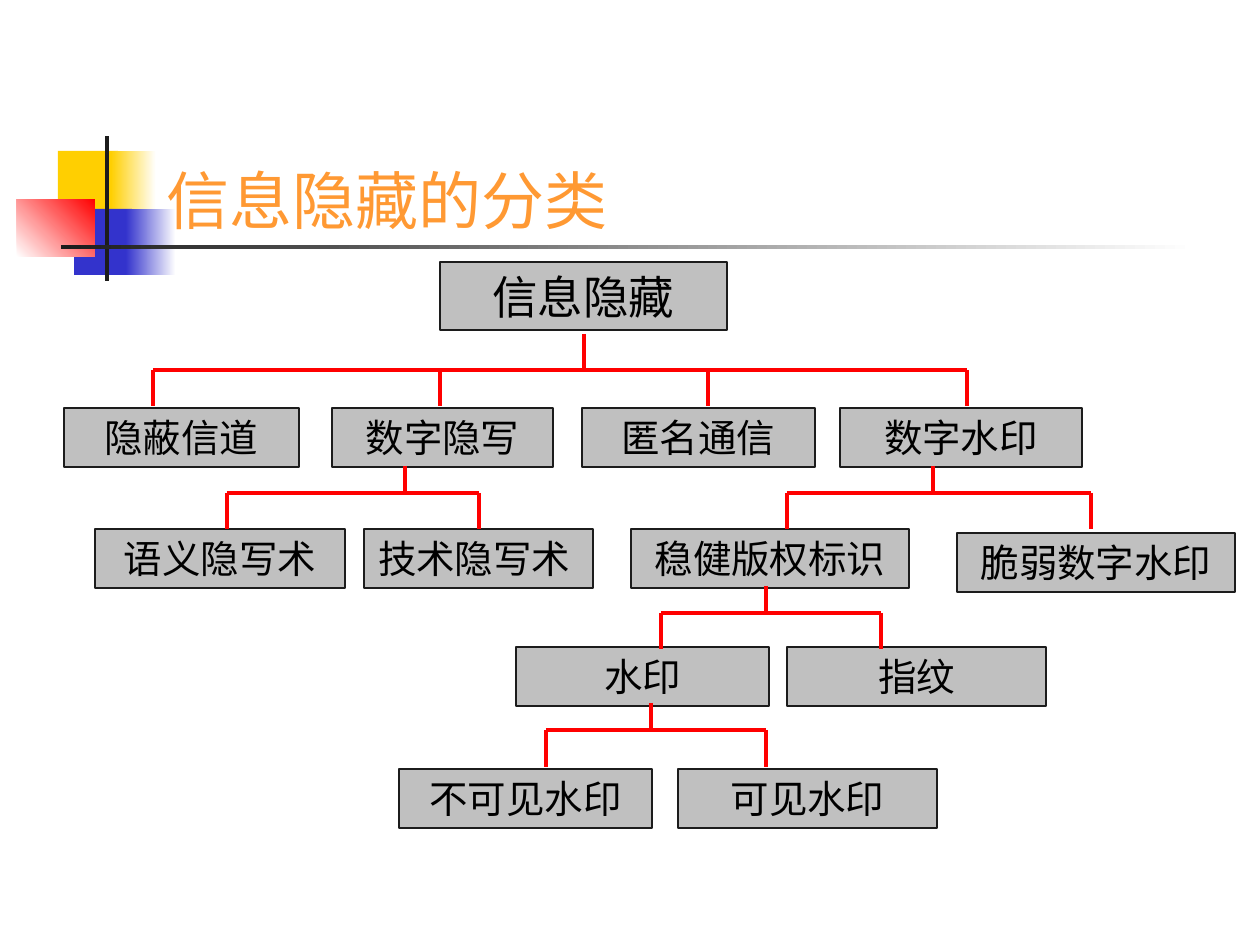
import pptx
import pptx.util
import pptx.dml.color
import pptx.enum.shapes
import pptx.enum.text
import pptx.oxml.ns
import lxml.etree

RGBColor = pptx.dml.color.RGBColor
YELLOW = RGBColor(0xFF, 0xCF, 0x01)
BLUE = RGBColor(0x33, 0x33, 0xCC)
RED = RGBColor(0xFF, 0x00, 0x00)
WHITE = RGBColor(0xFF, 0xFF, 0xFF)
DARK = RGBColor(0x1C, 0x1C, 0x1C)
GREY = RGBColor(0xC0, 0xC0, 0xC0)
BLACK = RGBColor(0x00, 0x00, 0x00)
ORANGE = RGBColor(0xFF, 0x99, 0x33)

FONT = "Noto Sans CJK SC"
PX = 914400 / 126

TITLE = "信息隐藏的分类"
TITLE_AREA = (154, 145, 1033, 98)

DECORATIONS = [
    ((58, 151, 60, 66), [YELLOW], 0),
    ((111, 151, 45, 66), [YELLOW, WHITE], 0),
    ((74, 209, 58, 66), [BLUE], 0),
    ((126, 209, 50, 66), [BLUE, WHITE], 0),
    ((17, 199, 78, 58), [WHITE, RED], 45),
    ((105, 136, 4, 145), [DARK], 0),
    ((61, 245, 1134, 4), [DARK, WHITE], 0),
]

ROOT_ROW = {"top": 262, "height": 68, "size": 26}
ROWS = [
    (ROOT_ROW, [("信息隐藏", 440, 287)]),
    ({"top": 408, "height": 59, "size": 22}, [
        ("隐蔽信道", 64, 235), ("数字隐写", 332, 221),
        ("匿名通信", 582, 233), ("数字水印", 840, 242)]),
    ({"top": 529, "height": 59, "size": 22}, [
        ("语义隐写术", 95, 250), ("技术隐写术 ", 364, 229),
        ("稳健版权标识", 631, 278)]),
    ({"top": 533, "height": 59, "size": 22}, [("脆弱数字水印", 957, 278)]),
    ({"top": 647, "height": 59, "size": 22}, [
        ("水印", 516, 253), ("指纹", 787, 259)]),
    ({"top": 769, "height": 59, "size": 22}, [
        ("不可见水印", 399, 253), ("可见水印", 678, 259)]),
]

BRANCHES = [
    {"stem": 584, "top": 334, "bar": 370, "bottom": 406, "children": [153, 440, 708, 967]},
    {"stem": 405, "top": 466, "bar": 493, "bottom": 529, "children": [227, 479]},
    {"stem": 933, "top": 466, "bar": 493, "bottom": 529, "children": [787, 1091]},
    {"stem": 766, "top": 586, "bar": 613, "bottom": 649, "children": [661, 881]},
    {"stem": 651, "top": 703, "bar": 730, "bottom": 767, "children": [546, 766]},
]


def emu(*lengths):
    return [pptx.util.Emu(round(length * PX)) for length in lengths]


def set_attributes(target, values):
    for name, value in values.items():
        setattr(target, name, value)


def write_text(shape, text, size, color, alignment, anchor):
    set_attributes(shape.text_frame, {
        "text": text, "word_wrap": True, "vertical_anchor": anchor,
        "auto_size": pptx.enum.text.MSO_AUTO_SIZE.NONE})
    paragraph = shape.text_frame.paragraphs[0]
    paragraph.alignment = alignment
    font = paragraph.runs[0].font
    set_attributes(font, {"name": FONT, "size": pptx.util.Pt(size), "bold": False})
    font.color.rgb = color
    properties = paragraph.runs[0]._r.get_or_add_rPr()
    east_asian = lxml.etree.SubElement(properties, pptx.oxml.ns.qn("a:ea"))
    east_asian.set("typeface", FONT)


def add_rectangle(slide, area, colors, angle=0):
    shape = slide.shapes.add_shape(pptx.enum.shapes.MSO_SHAPE.RECTANGLE, *emu(*area))
    shape.shadow.inherit = False
    shape.line.fill.background()
    if len(colors) == 1:
        shape.fill.solid()
        shape.fill.fore_color.rgb = colors[0]
    else:
        shape.fill.gradient()
        shape.fill.gradient_angle = angle
        for stop, color in zip(shape.fill.gradient_stops, colors):
            stop.color.rgb = color
    return shape


def add_box(slide, text, area, size):
    box = add_rectangle(slide, area, [GREY])
    box.line.color.rgb = DARK
    box.line.width = pptx.util.Pt(0.75)
    write_text(box, text, size, BLACK, pptx.enum.text.PP_ALIGN.CENTER,
               pptx.enum.text.MSO_ANCHOR.MIDDLE)


def add_line(slide, *ends):
    line = slide.shapes.add_connector(pptx.enum.shapes.MSO_CONNECTOR.STRAIGHT, *emu(*ends))
    line.line.color.rgb = RED
    line.line.width = pptx.util.Pt(2.5)
    lxml.etree.SubElement(line._element.spPr, pptx.oxml.ns.qn("a:effectLst"))


def add_branch(slide, stem, top, bar, bottom, children):
    add_line(slide, stem, top, stem, bar)
    add_line(slide, children[0], bar, children[-1], bar)
    for child in children:
        add_line(slide, child, bar, child, bottom)


def main():
    presentation = pptx.Presentation()
    presentation.slide_width = pptx.util.Inches(10)
    presentation.slide_height = pptx.util.Inches(7.5)
    slide = presentation.slides.add_slide(presentation.slide_layouts[5])

    for area, colors, angle in DECORATIONS:
        decoration = add_rectangle(slide, area, colors, angle)

    title = slide.shapes.title
    decoration._element.addnext(title._element)
    set_attributes(title, dict(zip(("left", "top", "width", "height"), emu(*TITLE_AREA))))
    write_text(title, TITLE, 36, ORANGE, pptx.enum.text.PP_ALIGN.LEFT,
               pptx.enum.text.MSO_ANCHOR.BOTTOM)

    for row, boxes in ROWS:
        for text, left, width in boxes:
            add_box(slide, text, (left, row["top"], width, row["height"]), row["size"])

    for branch in BRANCHES:
        add_branch(slide, **branch)

    presentation.save("out.pptx")


if __name__ == "__main__":
    main()
